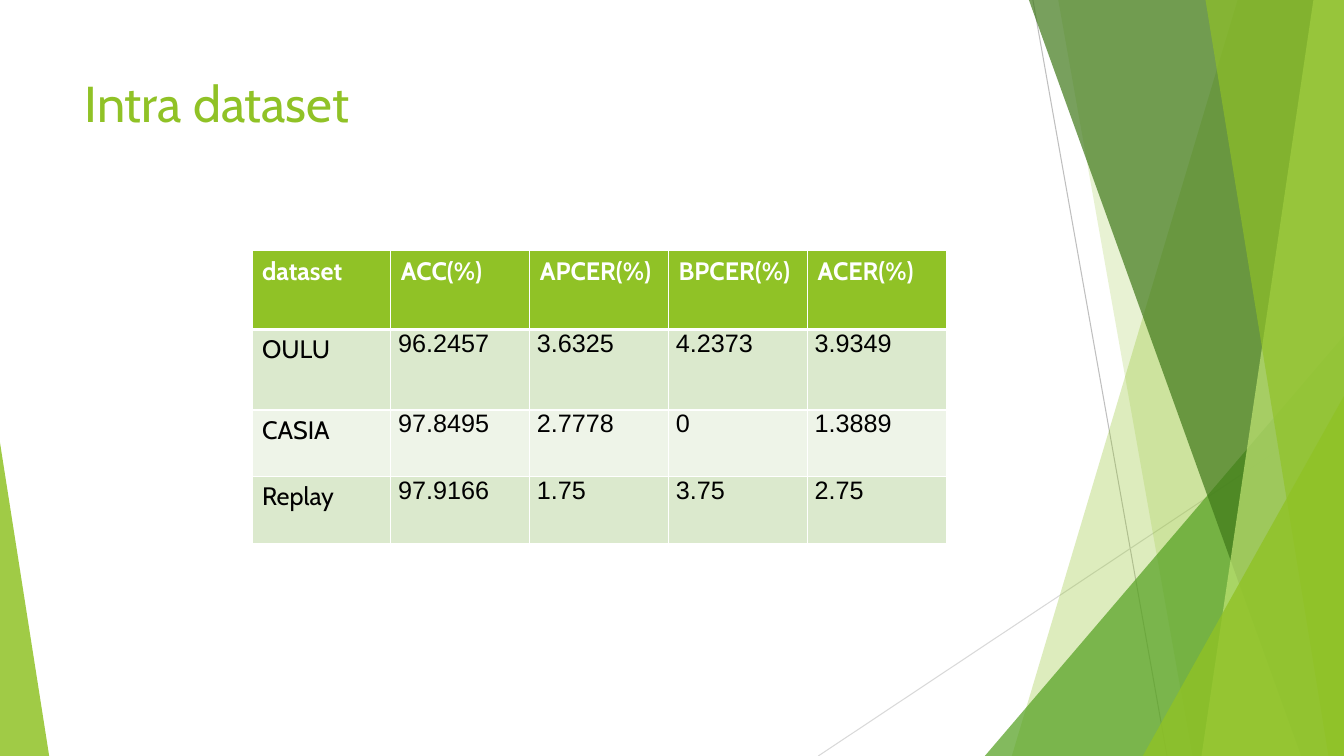
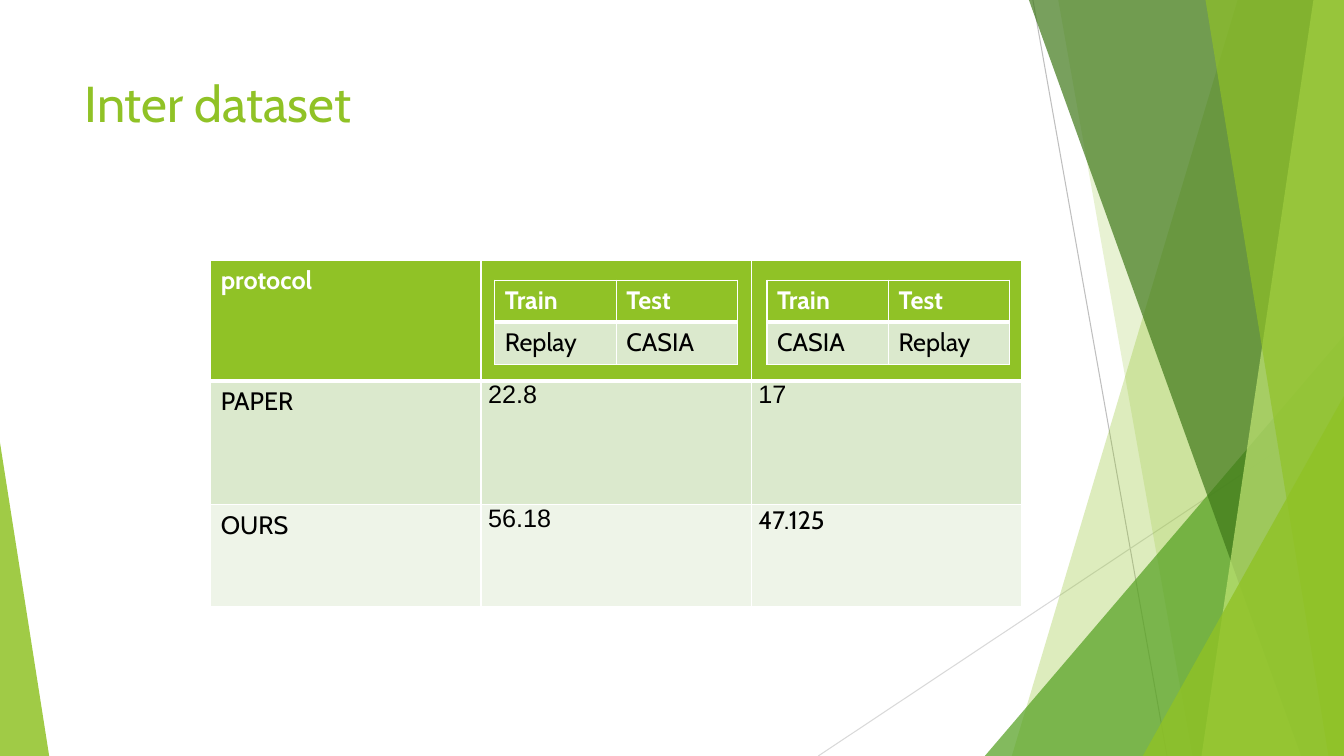
from lxml.etree import SubElement
from pptx import Presentation
from pptx.dml.color import RGBColor
from pptx.enum.shapes import MSO_CONNECTOR, MSO_SHAPE
from pptx.enum.text import MSO_ANCHOR, PP_ALIGN
from pptx.oxml import parse_xml
from pptx.oxml.ns import nsdecls, qn
from pptx.util import Cm, Pt

LIME = RGBColor(0x90, 0xC2, 0x26)
GREEN = RGBColor(0x54, 0xA0, 0x21)
FOREST = RGBColor(0x3F, 0x78, 0x19)
PALE_LIME = RGBColor(0xC0, 0xE4, 0x74)
ROW_DARK = RGBColor(0xDB, 0xE9, 0xCD)
ROW_LIGHT = RGBColor(0xEE, 0xF4, 0xE8)
GRAY = RGBColor(0xBF, 0xBF, 0xBF)
LIGHT_GRAY = RGBColor(0xD9, 0xD9, 0xD9)
WHITE = RGBColor(0xFF, 0xFF, 0xFF)
BLACK = RGBColor(0x00, 0x00, 0x00)
TEXT_FONT, NUMBER_FONT = "Cabin", "Arial"
WIDTH, HEIGHT = 33.87, 19.05


def add_titled_slide(title):
    slide = prs.slides.add_slide(layout)
    paragraph = slide.shapes.title.text_frame.paragraphs[0]
    paragraph.alignment = PP_ALIGN.LEFT
    run = paragraph.add_run()
    run.text = title
    run.font.name, run.font.size = TEXT_FONT, Pt(36)
    run.font.color.rgb = LIME
    return slide


def add_results_table(slide, left, top, column_width, row_heights, rows):
    columns = len(rows[0])
    table = slide.shapes.add_table(
        len(rows), columns, Cm(left), Cm(top),
        Cm(column_width * columns), Cm(sum(row_heights))).table
    for column in table.columns:
        column.width = Cm(column_width)
    for r, (height, texts) in enumerate(zip(row_heights, rows)):
        table.rows[r].height = Cm(height)
        for c, text in enumerate(texts):
            cell = table.cell(r, c)
            cell.fill.solid()
            cell.fill.fore_color.rgb = LIME if r == 0 else ROW_DARK if r % 2 else ROW_LIGHT
            # White rules, heavier between header and body
            edges = {"L": 1, "R": 1, "T": 3 if r == 1 else 1, "B": 3 if r == 0 else 1}
            for position, (edge, points) in enumerate(edges.items()):
                cell.fill._xPr.insert(position, parse_xml(
                    f'<a:ln{edge} {nsdecls("a")} w="{Pt(points)}"><a:solidFill>'
                    f'<a:srgbClr val="{WHITE}"/></a:solidFill></a:ln{edge}>'))
            if not text:
                continue
            is_number = text[0].isdigit()
            if is_number:
                cell.margin_left = cell.margin_right = Cm(0.18)
                cell.margin_top = cell.margin_bottom = 0
            run = cell.text_frame.paragraphs[0].add_run()
            run.text = text
            run.font.name = NUMBER_FONT if is_number else TEXT_FONT
            run.font.size, run.font.bold = Pt(18), r == 0
            run.font.color.rgb = WHITE if r == 0 else BLACK
    return table


prs = Presentation()
prs.slide_width, prs.slide_height = Cm(WIDTH), Cm(HEIGHT)

# Shared layout: only a title, placed top left
layout = prs.slide_layouts.get_by_name("Title Only")
for placeholder in list(layout.placeholders):
    if placeholder.placeholder_format.idx != 0:
        layout.shapes.element.remove(placeholder.element)
layout_title = layout.placeholders[0]
layout_title.left, layout_title.top = Cm(1.88), Cm(1.7)
layout_title.width, layout_title.height = Cm(23.88), Cm(3.66)
layout_title.text_frame.vertical_anchor = MSO_ANCHOR.TOP

intra = add_titled_slide("Intra dataset")
inter = add_titled_slide("Inter dataset")

# Thin lines behind the facets
decoration = []
for x1, y1, x2, y2, colour in [(26.03, 0, 29.41, HEIGHT, GRAY),
                               (WIDTH, 10.24, 20.62, HEIGHT, LIGHT_GRAY)]:
    line = intra.shapes.add_connector(
        MSO_CONNECTOR.STRAIGHT, Cm(x1), Cm(y1), Cm(x2), Cm(y2))
    line.line.color.rgb, line.line.width = colour, Pt(0.75)
    SubElement(line.element.spPr, qn("a:effectLst"))
    decoration.append(line)

# Facets: bands give top x and bottom x of their left edge and reach the
# right border; peaks give left, top, width and apex and stand on the bottom
facets = [
    (LIME, 30, (31.19, 25.5)),
    (LIME, 20, (26.67, 30.05)),
    (GREEN, 72, (24.82, 8.46, 9.05, 1)),
    (FOREST, 70, (25.93, 32.79)),
    (PALE_LIME, 70, (33.1, 30.28)),
    (LIME, 65, (30.38, 33.48)),
    (LIME, 80, (28.8, 9.98, 5.07, 1)),
    (LIME, 85, (0, 11.15, 1.24, 0)),
]
for colour, opacity, outline in facets:
    if len(outline) == 2:
        top_x, bottom_x = outline
        band = intra.shapes.build_freeform(Cm(top_x), 0)
        band.add_line_segments([(Cm(WIDTH), 0), (Cm(WIDTH), Cm(HEIGHT)),
                                (Cm(bottom_x), Cm(HEIGHT))])
        facet = band.convert_to_shape()
    else:
        left, top, width, apex = outline
        facet = intra.shapes.add_shape(
            MSO_SHAPE.ISOSCELES_TRIANGLE, Cm(left), Cm(top), Cm(width), Cm(HEIGHT - top))
        facet.adjustments[0] = apex
    facet.shadow.inherit = False
    facet.fill.solid()
    facet.fill.fore_color.rgb = colour
    facet.line.fill.background()
    tint = facet.element.spPr.find(".//" + qn("a:srgbClr"))
    SubElement(tint, qn("a:alpha"), val=str(opacity * 1000))
    decoration.append(facet)

# Move the decoration to the layout, behind its title
for position, part in enumerate(decoration, start=2):
    layout.shapes.element.insert(position, part.element)

# Intra dataset results
add_results_table(intra, 6.35, 6.32, 3.5, [1.98, 2.03, 1.68, 1.68], [
    ["dataset", "ACC(%)", "APCER(%)", "BPCER(%)", "ACER(%)"],
    ["OULU", "96.2457", "3.6325", "4.2373", "3.9349"],
    ["CASIA", "97.8495", "2.7778", "0", "1.3889"],
    ["Replay", "97.9166", "1.75", "3.75", "2.75"],
])

# Inter dataset results
protocols = add_results_table(inter, 5.31, 6.55, 6.81, [3.05, 3.12, 2.57], [
    ["protocol", "", ""],
    ["PAPER", "22.8", "17"],
    ["OURS", "56.18", "47.125"],
])
protocols.cell(2, 2).text_frame.paragraphs[0].runs[0].font.name = TEXT_FONT

# Train and test pairs inside the header cells
for left, pair in [(12.47, ["Replay", "CASIA"]), (19.33, ["CASIA", "Replay"])]:
    add_results_table(inter, left, 7.06, 3.06, [1.06, 1.06], [["Train", "Test"], pair])

prs.save("out.pptx")
